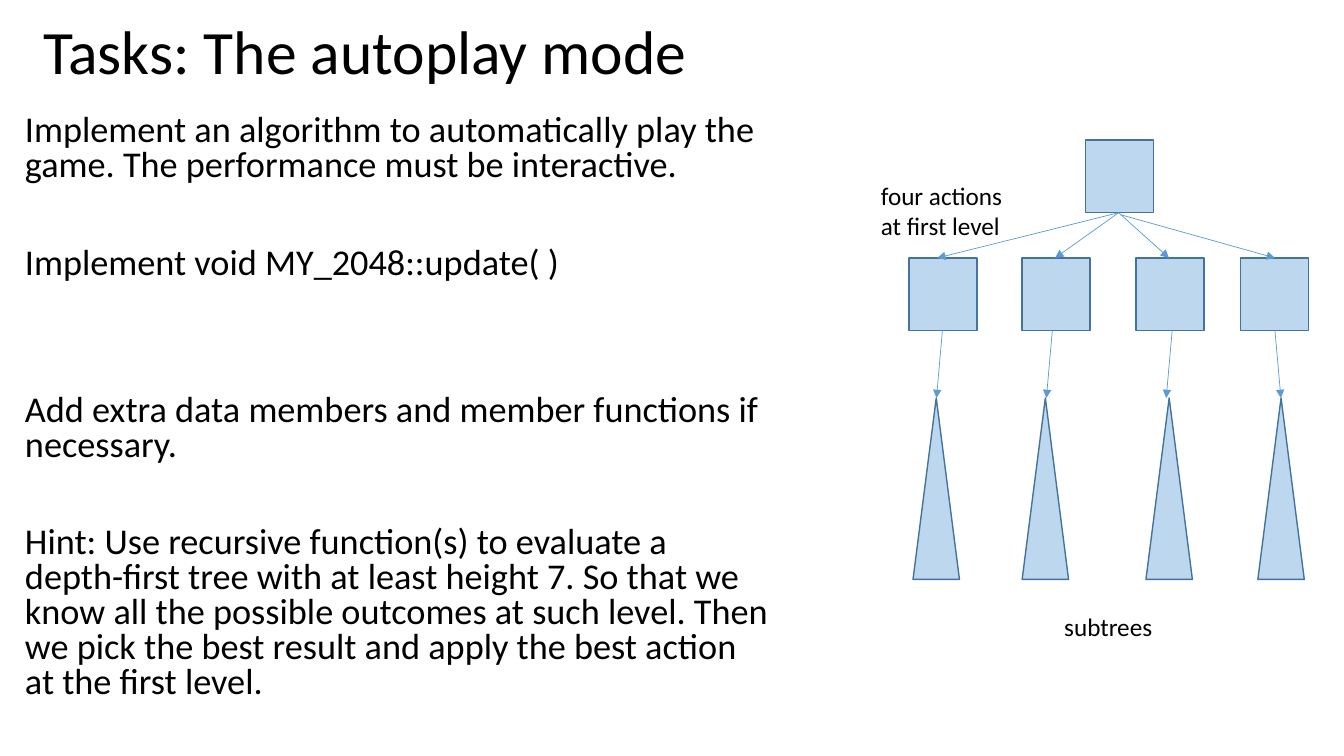
from lxml import etree
from pptx import Presentation
from pptx.dml.color import RGBColor
from pptx.enum.shapes import MSO_CONNECTOR as Link, MSO_SHAPE as Kind
from pptx.enum.text import MSO_ANCHOR as Anchor
from pptx.oxml.ns import qn
from pptx.util import Cm, Pt

# Content: text and the space before it in points
TITLE = "Tasks: The autoplay mode"
TASKS = [
    ("Implement an algorithm to automatically play the game. "
     "The performance must be interactive.", 10),
    ("Implement void MY_2048::update( )", 45),
    ("Add extra data members and member functions if necessary.", 80),
    ("Hint: Use recursive function(s) to evaluate a depth-first tree with "
     "at least height 7. So that we know all the possible outcomes at such "
     "level. Then we pick the best result and apply the best action at the "
     "first level.", 45),
]
LABELS = [
    (["four actions", "at first level"], (21.95, 4.42, 3.61, 1.8)),
    (["subtrees"], (26.57, 15.29, 2.74, 1.02)),
]

# Tree in cm: box left, branch start, branch end, stem start, stem end, cone left
ROOT = (27.36, 3.53)
FORK = (28.19, 5.36)
NODES = [
    (22.91, FORK, 23.62, 23.75, 23.6, 23.01),
    (25.76, FORK, 26.59, 26.52, 26.37, 25.76),
    (28.63, FORK, 29.46, 29.54, 29.39, 28.88),
    (31.27, (28.24, 5.41), 32.13, 32.13, 32.28, 31.7),
]
BOX = (1.71, 1.83)
CONE = (1.17, 4.57)
BOX_TOP, CONE_TOP = 6.5, 10.03
FILL, EDGE, ARROW, INK = "BDD7EE", "43739E", "5B9BD5", "000000"

deck = Presentation()
deck.slide_width, deck.slide_height = Cm(33.87), Cm(19.05)
slide = deck.slides.add_slide(deck.slide_layouts[6])


def paint(part, tone):
    part.rgb = RGBColor.from_string(tone)


def add_text(lines, place, size, ratio=1.0, wrap=True, anchor=Anchor.TOP):
    frame = slide.shapes.add_textbox(*map(Cm, place)).text_frame
    frame.word_wrap = wrap
    frame.vertical_anchor = anchor
    for i, (words, gap) in enumerate(lines):
        para = frame.paragraphs[0] if i == 0 else frame.add_paragraph()
        para.line_spacing = ratio
        para.space_before = Pt(gap)
        run = para.add_run()
        run.text = words
        run.font.name, run.font.size = "Calibri", Pt(size)
        paint(run.font.color, INK)


def add_node(kind, spot, size):
    node = slide.shapes.add_shape(kind, *map(Cm, spot + size))
    node.shadow.inherit = False
    node.fill.solid()
    paint(node.fill.fore_color, FILL)
    paint(node.line.color, EDGE)
    node.line.width = Pt(1)


def add_arrow(start, end):
    link = slide.shapes.add_connector(Link.STRAIGHT, *map(Cm, start + end))
    paint(link.line.color, ARROW)
    link.line.width = Pt(0.5)
    etree.SubElement(link.line._get_or_add_ln(), qn("a:tailEnd"), type="triangle")
    etree.SubElement(link._element.spPr, qn("a:effectLst"))


# Title and tasks
add_text([(TITLE, 0)], (0.84, -0.46, 29.21, 3.68), 44, 0.9, anchor=Anchor.MIDDLE)
add_text(TASKS, (0.38, 2.77, 19.25, 15.44), 25.9, 0.8)

# Tree: boxes and subtrees first, arrows on top
add_node(Kind.RECTANGLE, ROOT, BOX)
for left, *_, cone in NODES:
    add_node(Kind.RECTANGLE, (left, BOX_TOP), BOX)
    add_node(Kind.ISOSCELES_TRIANGLE, (cone, CONE_TOP), CONE)
for _, fork, tip, stem, foot, _ in NODES:
    add_arrow(fork, (tip, BOX_TOP))
    add_arrow((stem, BOX_TOP + BOX[1]), (foot, CONE_TOP))

# Labels
for lines, place in LABELS:
    add_text([(words, 0) for words in lines], place, 18, wrap=False)

deck.save("out.pptx")
